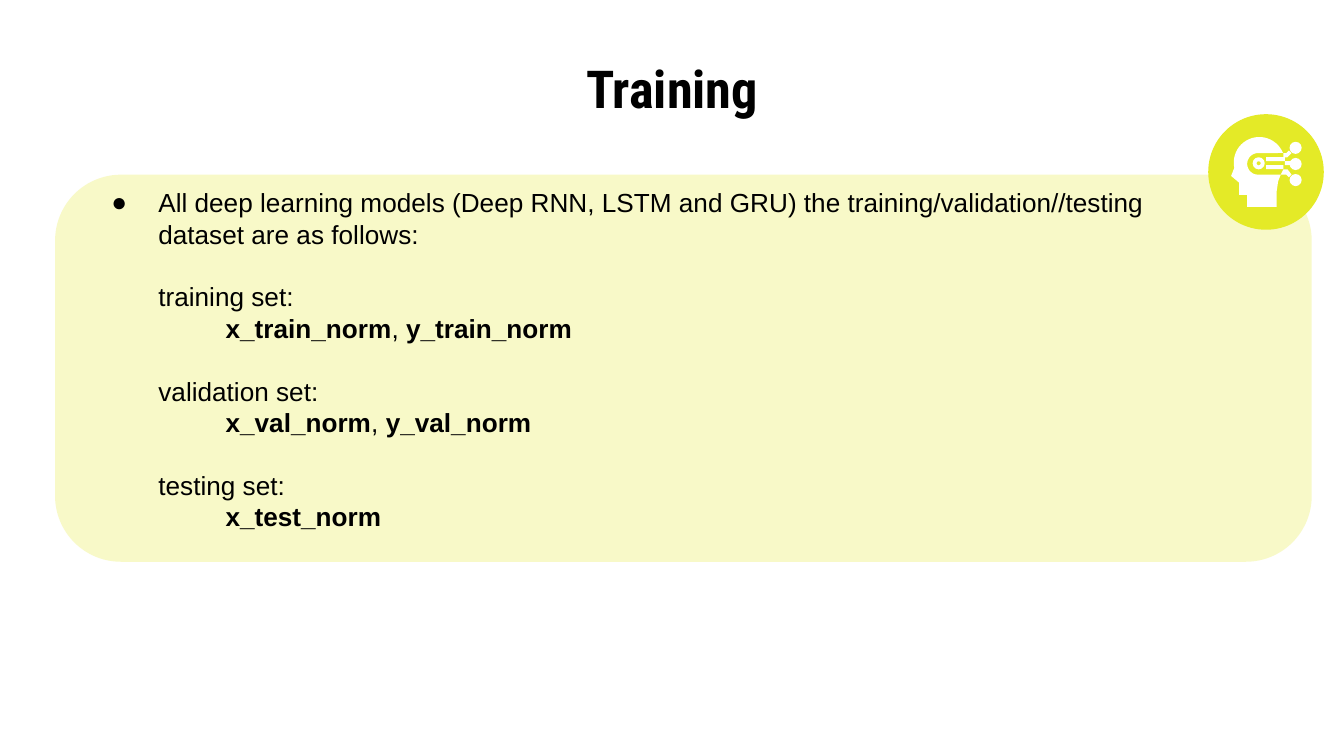
"""Build the Training slide: dataset splits on a tinted panel with a head icon."""
from math import cos, radians, sin

from lxml.etree import SubElement
from pptx import Presentation
from pptx.dml.color import RGBColor
from pptx.enum.shapes import MSO_SHAPE
from pptx.enum.text import MSO_ANCHOR, PP_ALIGN
from pptx.oxml.ns import qn
from pptx.util import Inches, Pt

TITLE = "Training"
INTRO = ("All deep learning models (Deep RNN, LSTM and GRU) the "
         "training/validation//testing dataset are as follows:")
SPLITS = [
    ("training set:", ["x_train_norm", "y_train_norm"]),
    ("validation set:", ["x_val_norm", "y_val_norm"]),
    ("testing set:", ["x_test_norm"]),
]
THEME = {
    "lime": RGBColor(0xE4, 0xEA, 0x27),
    "white": RGBColor(255, 255, 255),
    "ink": RGBColor(0, 0, 0),
    "title_font": "Roboto Condensed",
    "body_font": "Arial",
    "title_size": Pt(28),
    "body_size": Pt(14),
    "block_gap": Pt(16.8),
    "panel_alpha": 25000,
}
WIDTH = 10
HEIGHT = WIDTH * 9 / 16
NODE_X, NODE_R = 9.64, 0.045
NODE_YS = [1.1, 1.22, 1.34]
BARS = [(9.42, 1.17, 0.14, 0.03), (9.42, 1.23, 0.13, 0.03), (9.56, 1.2, 0.05, 0.03)]
ARMS = [
    [(9.55, 1.14), (9.57, 1.14), (9.59, 1.12), (9.61, 1.14), (9.58, 1.17), (9.55, 1.17)],
    [(9.55, 1.26), (9.58, 1.26), (9.61, 1.3), (9.59, 1.32), (9.57, 1.3), (9.53, 1.3)],
]
FACE = [(9.16, 1.31), (9.22, 1.36), (9.22, 1.45), (9.28, 1.45), (9.28, 1.54),
        (9.5, 1.54), (9.5, 1.42), (9.51, 1.35), (9.53, 1.3)]


def paint(sp, color):
    sp.shadow.inherit = False
    sp.fill.solid()
    sp.fill.fore_color.rgb = color
    sp.line.fill.background()
    return sp


def add_preset(shapes, kind, box, color):
    return paint(shapes.add_shape(kind, *map(Inches, box)), color)


def add_outline(shapes, points, color):
    pts = [(Inches(x), Inches(y)) for x, y in points]
    fb = shapes.build_freeform(*pts[0])
    fb.add_line_segments(pts[1:], close=True)
    return paint(fb.convert_to_shape(), color)


def arc(cx, cy, radius, start, end, steps=24):
    angles = [radians(start + (end - start) * i / steps) for i in range(steps + 1)]
    return [(cx + radius * cos(a), cy + radius * sin(a)) for a in angles]


def add_text(s, box, inset):
    tf = s.shapes.add_textbox(*map(Inches, box)).text_frame
    tf.word_wrap = True
    tf.margin_left = tf.margin_right = Inches(0.1)
    tf.margin_top = tf.margin_bottom = Inches(inset)
    return tf


def add_run(p, text, font="body", bold=False):
    r = p.add_run()
    r.text = text
    r.font.name = THEME[font + "_font"]
    r.font.size = THEME[font + "_size"]
    r.font.bold = bold
    r.font.color.rgb = THEME["ink"]


def format_body(p, left, hang=0, bullet=None):
    pPr = p._p.get_or_add_pPr()
    pPr.set("marL", str(Inches(left)))
    pPr.set("indent", str(Inches(hang)))
    if bullet:
        SubElement(pPr, qn("a:buFont"), typeface=THEME["body_font"])
        SubElement(pPr, qn("a:buChar"), char=bullet)


def add_body(s):
    tf = add_text(s, (0.58, 1.34, 8.41, 4.11), 0.05)
    p = tf.paragraphs[0]
    format_body(p, 0.5, -0.35, "●")
    add_run(p, INTRO)
    for label, names in SPLITS:
        p = tf.add_paragraph()
        format_body(p, 0.5)
        p.space_before = THEME["block_gap"]
        add_run(p, label)
        p = tf.add_paragraph()
        format_body(p, 1)
        for i, name in enumerate(names):
            if i:
                add_run(p, ", ")
            add_run(p, name, bold=True)


def add_icon(s):
    shapes = s.shapes.add_group_shape().shapes
    white = THEME["white"]
    add_preset(shapes, MSO_SHAPE.OVAL, (8.99, 0.85, 0.86, 0.86), THEME["lime"])
    skull = arc(9.37, 1.21, 0.19, -22, -192)
    socket = arc(9.36, 1.22, 0.08, 90, 270)
    add_outline(shapes, skull + FACE + socket, white)
    eye = add_preset(shapes, MSO_SHAPE.DONUT, (9.32, 1.17, 0.09, 0.09), white)
    eye.adjustments[0] = 0.33
    for bar in BARS:
        add_preset(shapes, MSO_SHAPE.RECTANGLE, bar, white)
    for arm in ARMS:
        add_outline(shapes, arm, white)
    for y in NODE_YS:
        box = (NODE_X - NODE_R, y - NODE_R, 2 * NODE_R, 2 * NODE_R)
        add_preset(shapes, MSO_SHAPE.OVAL, box, white)


def main():
    prs = Presentation()
    prs.slide_width, prs.slide_height = Inches(WIDTH), Inches(HEIGHT)
    s = prs.slides.add_slide(prs.slide_layouts[6])
    panel = add_preset(s.shapes, MSO_SHAPE.ROUNDED_RECTANGLE,
                       (0.41, 1.3, 9.35, 2.88), THEME["lime"])
    panel.adjustments[0] = 0.17
    color = panel.fill._xPr.find(qn("a:solidFill"))[0]
    SubElement(color, qn("a:alpha"), val=str(THEME["panel_alpha"]))
    tf = add_text(s, (0.5, 0.45, 9, 0.41), 0.1)
    tf.vertical_anchor = MSO_ANCHOR.MIDDLE
    p = tf.paragraphs[0]
    p.alignment = PP_ALIGN.CENTER
    add_run(p, TITLE, "title", bold=True)
    add_body(s)
    add_icon(s)
    prs.save("out.pptx")


if __name__ == "__main__":
    main()
